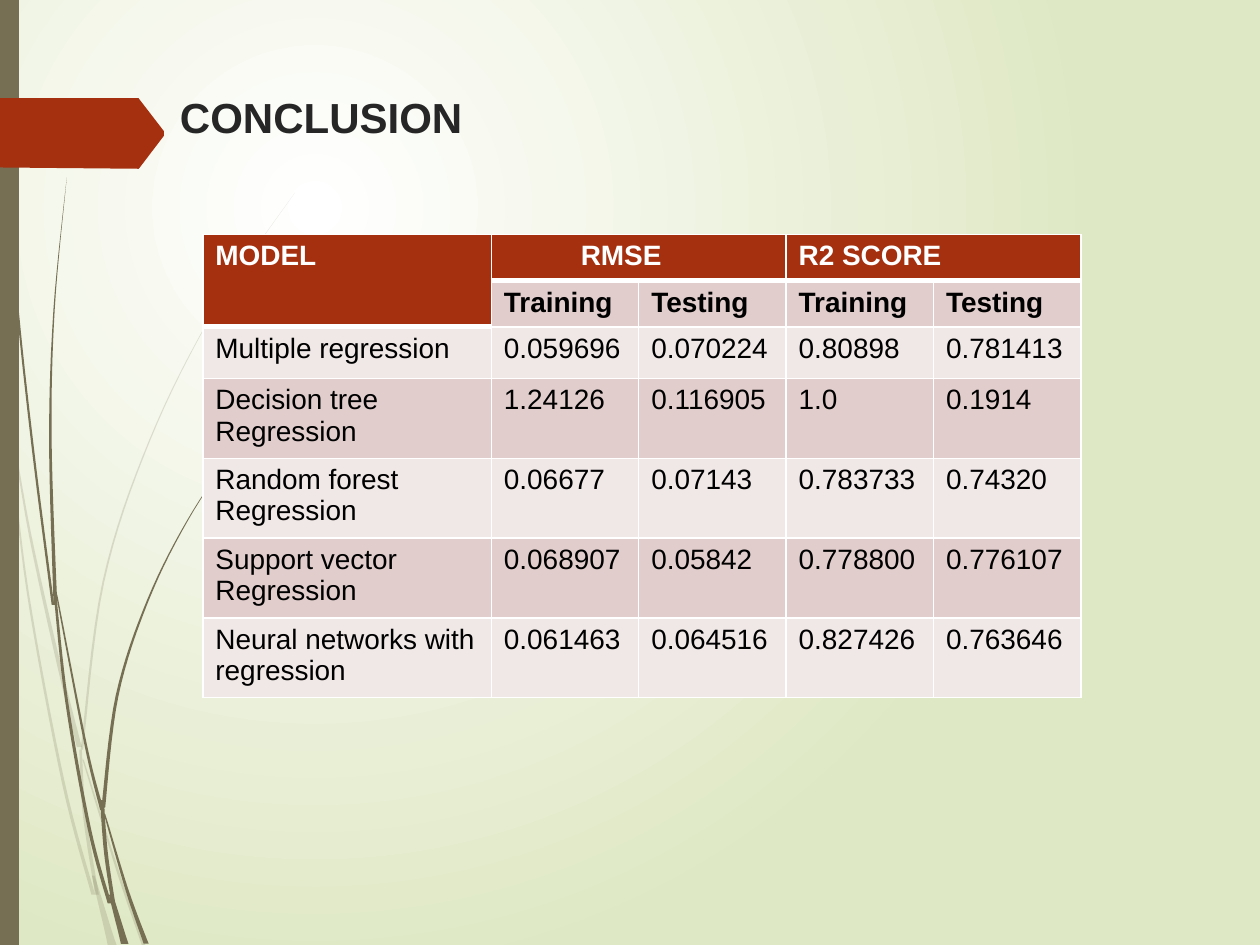
"""Build the conclusion slide comparing regression models."""
import pptx
import pptx.dml.color
import pptx.enum.shapes
import pptx.oxml
import pptx.oxml.ns
import pptx.util

Inches = pptx.util.Inches
FONT = "Arial"
COLORS = {
    "white": "FFFFFF", "edge": "DFE8C4", "olive": "766F54", "rust": "A53010",
    "title": "262626", "text": "000000", "dark_band": "E1CDCC", "light_band": "F0E8E7",
}
ROWS = [
    ["MODEL", "RMSE", "", "R2 SCORE", ""],
    ["", "Training", "Testing", "Training", "Testing"],
    ["Multiple regression", "0.059696", "0.070224", "0.80898", "0.781413"],
    ["Decision tree Regression", "1.24126", "0.116905", "1.0", "0.1914"],
    ["Random forest Regression", "0.06677", "0.07143", "0.783733", "0.74320"],
    ["Support vector Regression", "0.068907", "0.05842", "0.778800", "0.776107"],
    ["Neural networks with regression", "0.061463", "0.064516", "0.827426", "0.763646"],
]
MERGES = [((0, 0), (1, 0)), ((0, 1), (0, 2)), ((0, 3), (0, 4))]
COL_WIDTHS = [2.29] + [1.17] * 4
ROW_HEIGHTS = [0.34, 0.35, 0.41] + [0.59] * 4
ARROW = [(0, 0.78), (1.1, 0.78), (1.3, 1.04), (1.3, 1.08), (1.11, 1.33), (1.1, 1.34), (0, 1.33)]

# start width, end width, spine
PALE_STRANDS = [
    (0.02, 0.01, [(0.01, 2.9), (0.08, 3.47)]),
    (0.01, 0.04, [(0.11, 3.5), (0.24, 4.25), (0.45, 5.2), (0.63, 5.93)]),
    (0.01, 0.03, [(0.66, 6.03), (0.94, 6.93), (1.14, 7.5)]),
    (0.01, 0.03, [(0.08, 3.5), (0.22, 4.7), (0.5, 6.2), (0.74, 7.1)]),
    (0.02, 0.03, [(0.64, 5.95), (0.67, 6.46), (0.77, 7.1)]),
    (0, 0.02, [(2.34, 1.53), (1.71, 2.45), (1.19, 3.49), (0.82, 4.62), (0.65, 5.95)]),
    (0.02, 0.07, [(0.74, 6.95), (0.89, 7.5)]),
]
DARK_STRANDS = [
    (0.01, 0.02, [(0.03, 0), (0.05, 1.1), (0.13, 2.33), (0.26, 3.55), (0.42, 4.8)]),
    (0.01, 0.03, [(0.45, 4.72), (0.68, 5.91), (0.81, 6.43)]),
    (0.01, 0.04, [(0.83, 6.46), (1.01, 7.07), (1.16, 7.49)]),
    (0.02, 0.03, [(0.44, 4.75), (0.53, 5.57), (0.71, 6.58), (0.87, 7.17)]),
    (0, 0.03, [(0.53, 1.41), (0.43, 2.45), (0.4, 3.49), (0.44, 4.8)]),
    (0, 0.03, [(1.96, 3.44), (1.53, 4.06), (1.18, 4.75), (0.93, 5.52), (0.82, 6.41)]),
    (0.03, 0.03, [(0.81, 6.35), (0.84, 6.76), (0.9, 7.17)]),
    (0.03, 0.06, [(0.88, 7.1), (0.99, 7.49)]),
]


def rgb(name):
    return pptx.dml.color.RGBColor.from_string(COLORS[name])


def xml(text):
    return pptx.oxml.parse_xml(text.replace(">", f" {pptx.oxml.ns.nsdecls('a')}>", 1))


def paint(sp, name):
    sp.shadow.inherit = False
    sp.fill.solid()
    sp.fill.fore_color.rgb = rgb(name)
    sp.line.fill.background()


def add_outline(shapes, points, name):
    emu = [(Inches(x), Inches(y)) for x, y in points]
    builder = shapes.build_freeform(*emu[0])
    builder.add_line_segments(emu[1:], close=True)
    sp = builder.convert_to_shape()
    paint(sp, name)
    return sp


def smooth_spine(spine, steps=8):
    pts = [spine[0]] + spine + [spine[-1]]
    out = [spine[0]]
    for a, b, c, d in zip(pts, pts[1:], pts[2:], pts[3:]):
        for t in (n / steps for n in range(1, steps + 1)):
            out.append(tuple(
                b[k] + t * (c[k] - a[k]) / 2
                + t * t * (2 * a[k] - 5 * b[k] + 4 * c[k] - d[k]) / 2
                + t ** 3 * (3 * b[k] - a[k] - 3 * c[k] + d[k]) / 2 for k in (0, 1)))
    return out


def strand_outline(start, end, spine):
    curve = smooth_spine(spine)
    halves = [(start + (end - start) * i / (len(curve) - 1)) / 2 for i in range(len(curve))]
    left = [(x - h, y) for (x, y), h in zip(curve, halves)]
    right = [(x + h, y) for (x, y), h in zip(curve, halves)]
    return left + right[::-1]


def style(tf, size, name, bold):
    for r in tf.paragraphs[0].runs:
        r.font.name, r.font.size, r.font.bold = FONT, pptx.util.Pt(size), bold
        r.font.color.rgb = rgb(name)


def add_background(s):
    fill = s.background.fill
    fill.gradient()
    for stop, name in zip(fill.gradient_stops, ("white", "edge")):
        stop.color.rgb = rgb(name)
    lin = next(s.element.iter(pptx.oxml.ns.qn("a:lin")))
    lin.getparent().replace(lin, xml(
        '<a:path path="circle"><a:fillToRect l="25000" t="22000" r="75000" b="78000"/></a:path>'))


def add_strands(s, strands, alpha):
    group = s.shapes.add_group_shape()
    for strand in strands:
        sp = add_outline(group.shapes, strand_outline(*strand), "olive")
        clr = next(sp.element.spPr.iter(pptx.oxml.ns.qn("a:srgbClr")))
        clr.append(xml(f'<a:alpha val="{alpha}"></a:alpha>'))


def add_scores(s):
    frame = s.shapes.add_table(len(ROWS), len(COL_WIDTHS), Inches(1.61), Inches(1.86),
                               Inches(sum(COL_WIDTHS)), Inches(sum(ROW_HEIGHTS)))
    table = frame.table
    for col, width in zip(table.columns, COL_WIDTHS):
        col.width = Inches(width)
    for i, (row, height) in enumerate(zip(table.rows, ROW_HEIGHTS)):
        row.height = Inches(height)
        for j, cell in enumerate(row.cells):
            header = i == 0 or (i == 1 and j == 0)
            cell.text_frame.text = ROWS[i][j]
            style(cell.text_frame, 16, "white" if header else "text", i < 2)
            for side in "LRTB":
                weight = pptx.util.Pt(3 if header and side == "B" else 1)
                cell._tc.get_or_add_tcPr().append(xml(
                    f'<a:ln{side} w="{weight}"><a:solidFill><a:srgbClr val="{COLORS["white"]}"/>'
                    f'</a:solidFill></a:ln{side}>'))
            cell.fill.solid()
            cell.fill.fore_color.rgb = rgb("rust" if header else "dark_band" if i % 2 else "light_band")
    for start, end in MERGES:
        table.cell(*start).merge(table.cell(*end))
    table.cell(0, 1).margin_left = Inches(0.71)


def main():
    prs = pptx.Presentation()
    prs.slide_width, prs.slide_height = Inches(10), Inches(7.5)
    s = prs.slides.add_slide(prs.slide_layouts[6])
    add_background(s)
    add_strands(s, PALE_STRANDS, 20000)
    add_strands(s, DARK_STRANDS, 100000)
    bar = s.shapes.add_shape(pptx.enum.shapes.MSO_SHAPE.RECTANGLE, 0, 0, Inches(0.15), Inches(7.5))
    paint(bar, "olive")
    add_outline(s.shapes, ARROW, "rust")
    title = s.shapes.add_textbox(Inches(1.33), Inches(0.68), Inches(8.11), Inches(0.96))
    title.text_frame.word_wrap = True
    title.text_frame.text = "CONCLUSION"
    style(title.text_frame, 24, "title", True)
    add_scores(s)
    prs.save("out.pptx")


if __name__ == "__main__":
    main()
